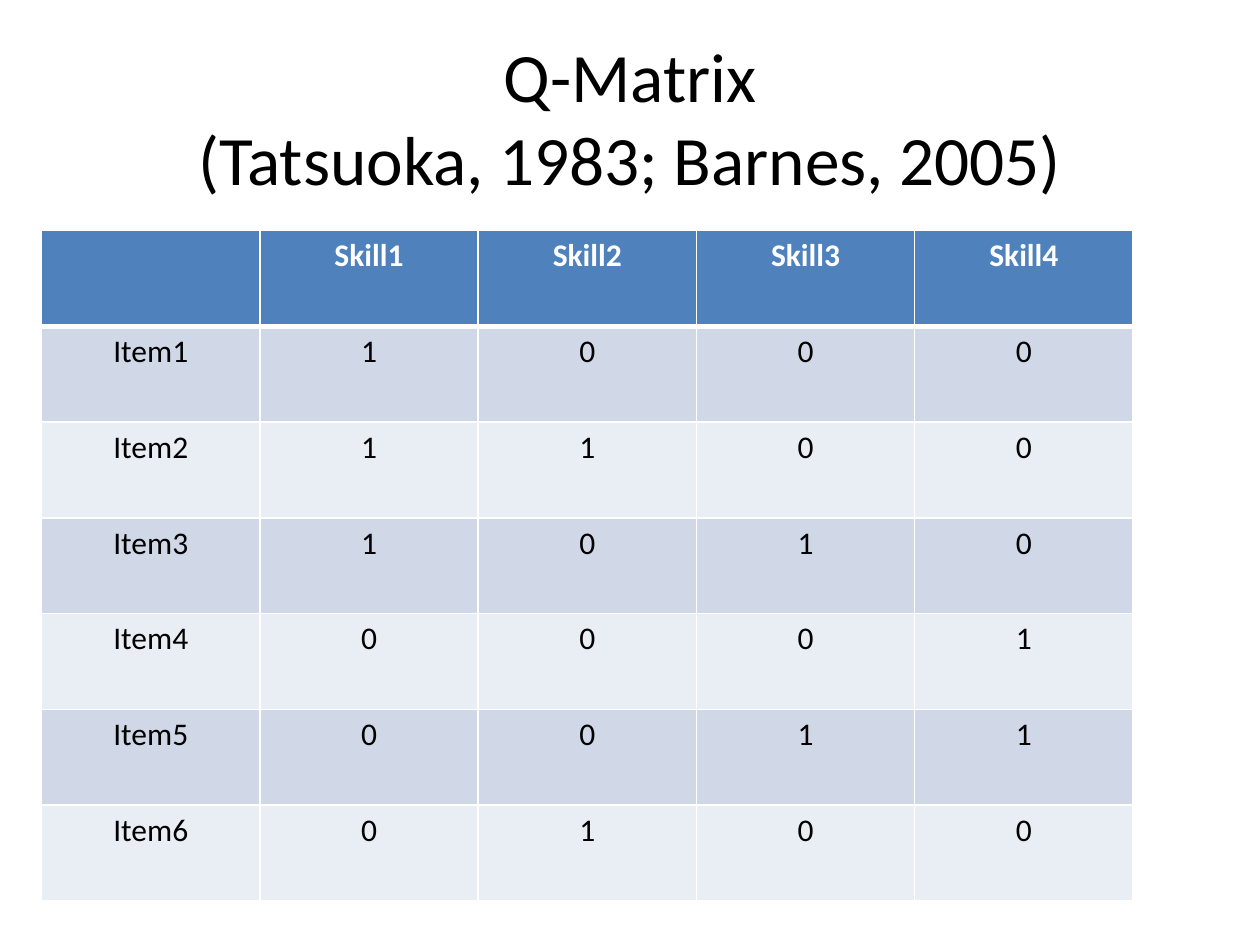
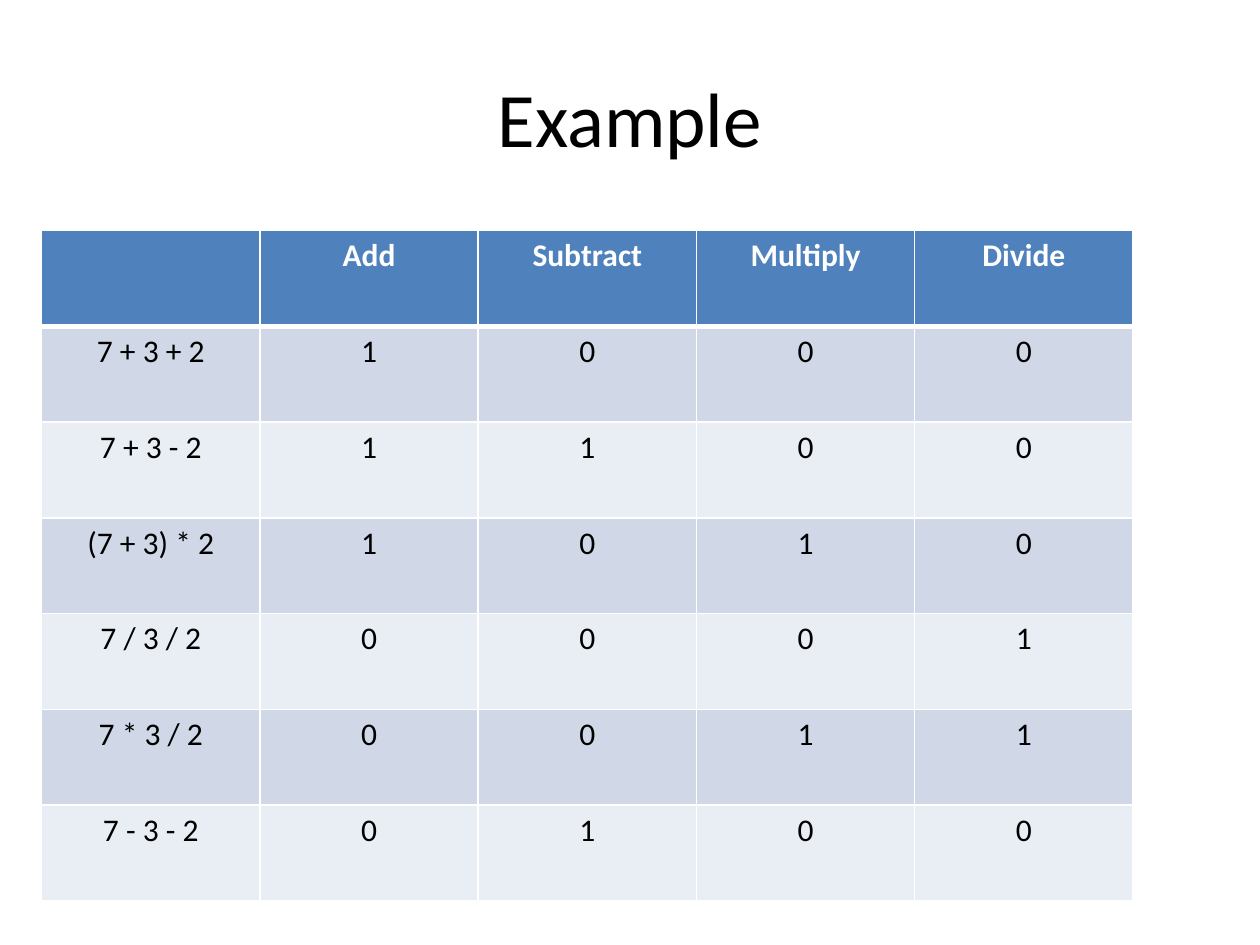
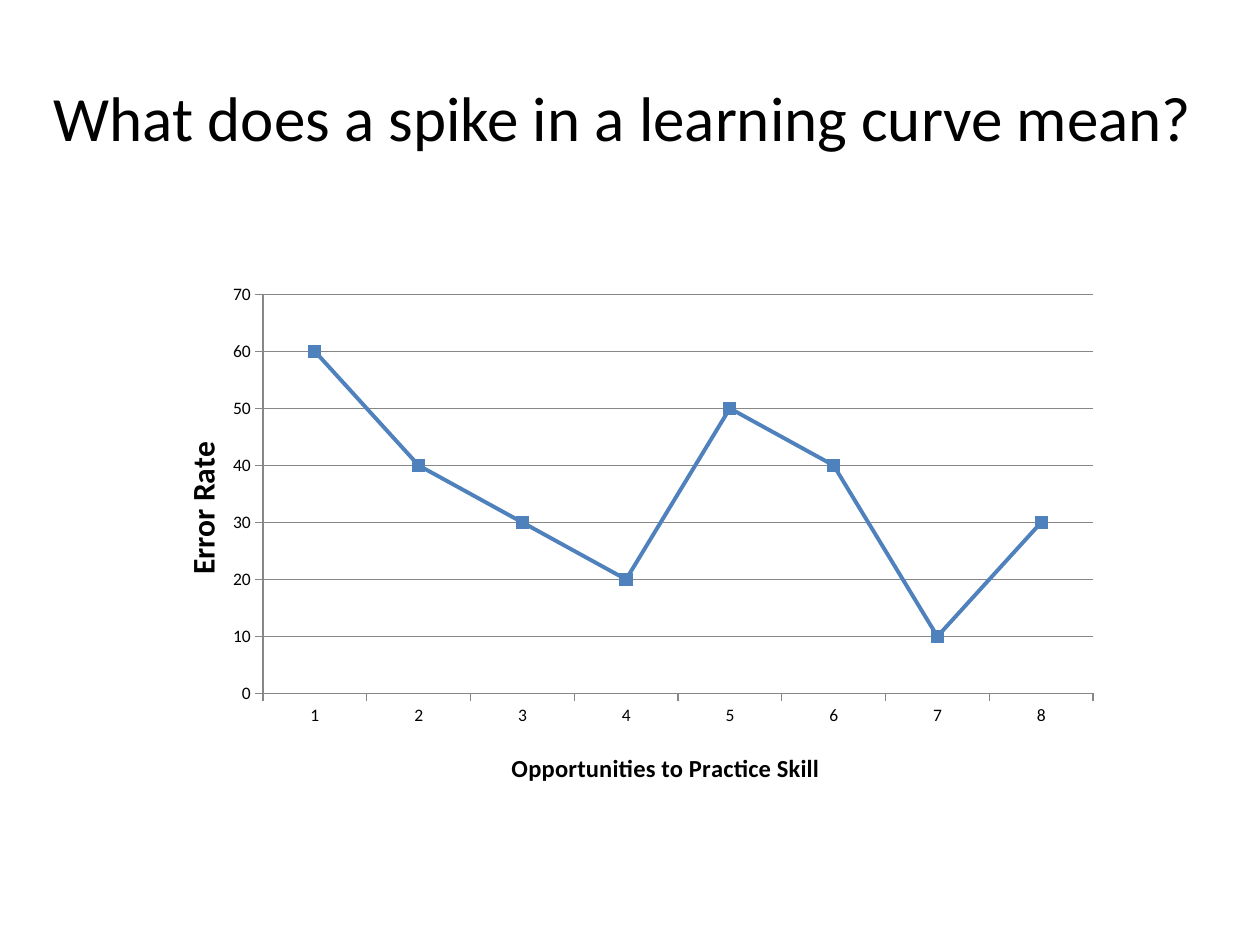
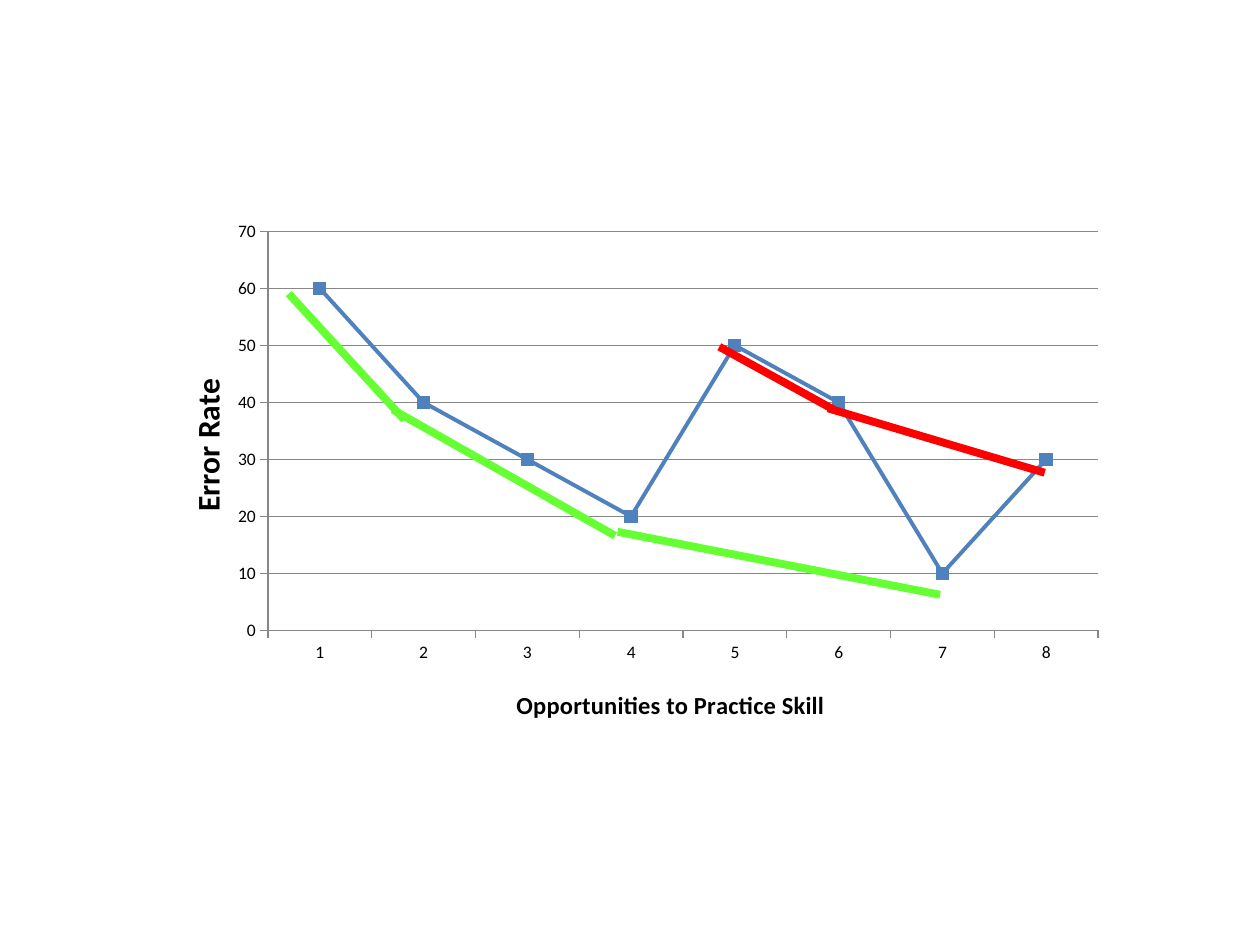
from lxml import etree
from pptx import Presentation
from pptx.chart.data import CategoryChartData
from pptx.dml.color import RGBColor
from pptx.enum.chart import XL_CHART_TYPE, XL_MARKER_STYLE, XL_TICK_MARK
from pptx.enum.shapes import MSO_CONNECTOR
from pptx.enum.text import MSO_ANCHOR, PP_ALIGN
from pptx.oxml.ns import qn
from pptx.util import Cm, Pt

LINE = XL_CHART_TYPE.LINE_MARKERS
SQUARE = XL_MARKER_STYLE.SQUARE
OUT = XL_TICK_MARK.OUTSIDE
STRAIGHT = MSO_CONNECTOR.STRAIGHT
MIDDLE = MSO_ANCHOR.MIDDLE
CENTER = PP_ALIGN.CENTER

# Shared style
FACE = "Calibri"
BLACK, WHITE, BLUE, GREY = "000000", "FFFFFF", "4F81BD", "878787"
BANDS = ["E9EDF4", "D0D8E8"]
GREEN, RED = "66FF33", "FF0000"
TITLE_ONLY, BLANK = 5, 6


def rgb(code):
    return RGBColor.from_string(code)


def style(font, size, color=BLACK, bold=False):
    font.name = FACE
    font.size = Pt(size)
    font.bold = bold
    font.color.rgb = rgb(color)


prs = Presentation()
prs.slide_width, prs.slide_height = Cm(25.4), Cm(19.05)

# Titles: text, size, left, width
titles = [
    ("Q-Matrix\v(Tatsuoka, 1983; Barnes, 2005)", 39.6, 1.27, 22.86),
    ("Example", 44, 1.27, 22.86),
    ("What does a spike in a learning curve mean? ", 36, 0, 25.4),
]
for text, size, left, width in titles:
    slide = prs.slides.add_slide(prs.slide_layouts[TITLE_ONLY])
    title = slide.shapes.title
    title.left, title.top = Cm(left), Cm(0.76)
    title.width, title.height = Cm(width), Cm(3.18)
    frame = title.text_frame
    frame.text = text
    frame.vertical_anchor = MIDDLE
    para = frame.paragraphs[0]
    para.alignment = CENTER
    for run in para.runs:
        style(run.font, size)
prs.slides.add_slide(prs.slide_layouts[BLANK])
slides = list(prs.slides)

# Skill tables on slides 1 and 2
marks = ["1000", "1100", "1010", "0001", "0011", "0100"]
heads = [
    ["", "Skill1", "Skill2", "Skill3", "Skill4"],
    ["", "Add", "Subtract", "Multiply", "Divide"],
]
items = [
    [f"Item{n}" for n in range(1, 7)],
    ["7 + 3 + 2", "7 + 3 - 2", "(7 + 3) * 2", "7 / 3 / 2", "7 * 3 / 2", "7 - 3 - 2"],
]
for slide, head, names in zip(slides, heads, items):
    rows = [head] + [[name, *mark] for name, mark in zip(names, marks)]
    grid = slide.shapes.add_table(
        len(rows), len(head), Cm(0.84), Cm(4.65), Cm(22), Cm(13.51)).table
    for col in grid.columns:
        col.width = Cm(4.4)
    for r, row in enumerate(rows):
        grid.rows[r].height = Cm(1.93)
        for c, text in enumerate(row):
            cell = grid.cell(r, c)
            cell.fill.solid()
            cell.fill.fore_color.rgb = rgb(BANDS[r % 2] if r else BLUE)
            cell.text = text
            para = cell.text_frame.paragraphs[0]
            para.alignment = CENTER
            style(para.font, 18, BLACK if r else WHITE, r == 0)
            for run in para.runs:
                style(run.font, 18, BLACK if r else WHITE, r == 0)
            # White borders, thick under the header
            props = cell._tc.get_or_add_tcPr()
            for i, side in enumerate(["lnL", "lnR", "lnT", "lnB"]):
                thick = (r, side) in [(0, "lnB"), (1, "lnT")]
                edge = etree.Element(qn(f"a:{side}"), w=str(Pt(3 if thick else 1)))
                fill = etree.SubElement(edge, qn("a:solidFill"))
                etree.SubElement(fill, qn("a:srgbClr"), val=WHITE)
                props.insert(i, edge)

# Learning curves on slides 3 and 4
data = CategoryChartData()
data.categories = [str(n) for n in range(1, 9)]
data.add_series("Series 1", [60, 40, 30, 20, 50, 40, 10, 30])
for slide, left, top in [(slides[2], 2.74, 5.51), (slides[3], 2.84, 4.24)]:
    chart = slide.shapes.add_chart(
        LINE, Cm(left), Cm(top), Cm(19.69), Cm(10.59), data).chart
    chart.has_legend = False
    chart.has_title = False
    style(chart.font, 10)
    plot = chart.plots[0]
    plot.vary_by_categories = False
    curve = plot.series[0]
    curve.smooth = False
    curve.format.line.color.rgb = rgb(BLUE)
    curve.format.line.width = Pt(2.25)
    curve.marker.style = SQUARE
    curve.marker.size = 7
    curve.marker.format.fill.solid()
    curve.marker.format.fill.fore_color.rgb = rgb(BLUE)
    curve.marker.format.line.color.rgb = rgb(BLUE)

    # Axes
    cats, vals = chart.category_axis, chart.value_axis
    for axis, text, size in [(cats, "Opportunities to Practice Skill", 14),
                             (vals, "Error Rate", 18)]:
        axis.major_tick_mark = OUT
        axis.format.line.color.rgb = rgb(GREY)
        style(axis.tick_labels.font, 10)
        frame = axis.axis_title.text_frame
        frame.text = text
        style(frame.paragraphs[0].runs[0].font, size, bold=True)
    vals.minimum_scale, vals.maximum_scale, vals.major_unit = 0, 70, 10
    vals.has_major_gridlines = True
    vals.major_gridlines.format.line.color.rgb = rgb(GREY)

    # Places inside the chart, as shares of its size
    area = plot._element.getparent()
    places = [
        (area, {"x": 0.13, "y": 0.04, "w": 0.85, "h": 0.76}),
        (cats.axis_title._element, {"x": 0.38, "y": 0.9}),
        (vals.axis_title._element, {"x": 0.04, "y": 0.31}),
    ]
    for part, place in places:
        layout = part.find(qn("c:layout"))
        if layout is None:
            layout = etree.Element(qn("c:layout"))
            part.insert(0 if part is area else 1, layout)
        manual = etree.SubElement(layout, qn("c:manualLayout"))
        if part is area:
            etree.SubElement(manual, qn("c:layoutTarget"), val="inner")
        for key in "xy":
            etree.SubElement(manual, qn(f"c:{key}Mode"), val="edge")
        for key, share in place.items():
            etree.SubElement(manual, qn(f"c:{key}"), val=str(share))

# Two separate skills drawn over the last curve
trends = [
    (GREEN, 5.82, 5.92, 8.15, 8.46),
    (GREEN, 7.92, 8.26, 12.4, 10.8),
    (GREEN, 12.45, 10.72, 18.95, 11.99),
    (RED, 16.81, 8.26, 14.5, 6.99),
    (RED, 21.06, 9.53, 16.69, 8.23),
]
for color, *ends in trends:
    trend = slides[3].shapes.add_connector(STRAIGHT, *[Cm(end) for end in ends])
    trend.line.color.rgb = rgb(color)
    trend.line.width = Pt(4.5)
    etree.SubElement(trend._element.spPr, qn("a:effectLst"))

prs.save("out.pptx")
